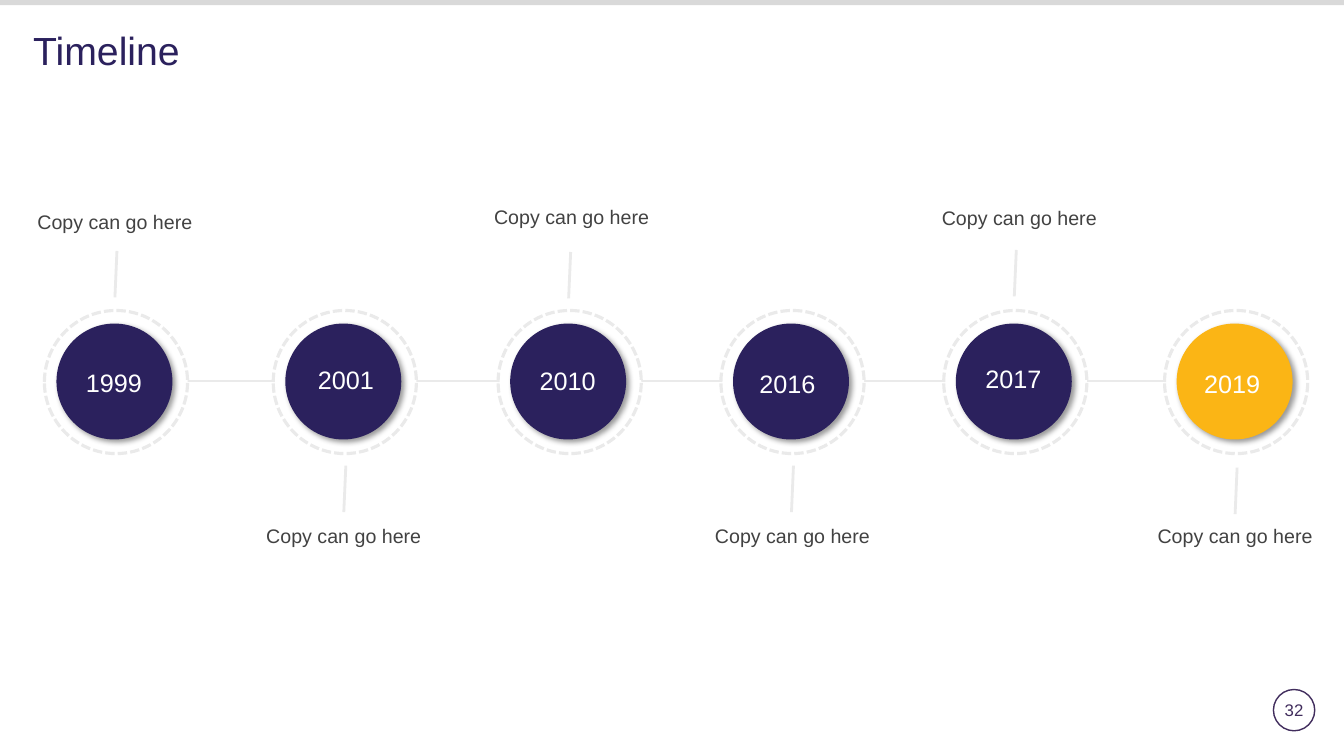
import dataclasses

import pptx
import pptx.dml.color
import pptx.enum.dml
import pptx.enum.shapes
import pptx.enum.text
import pptx.oxml
import pptx.oxml.ns
import pptx.util

Inches = pptx.util.Inches
OVAL = pptx.enum.shapes.MSO_SHAPE.OVAL
CENTER = pptx.enum.text.PP_ALIGN.CENTER
MIDDLE = pptx.enum.text.MSO_ANCHOR.MIDDLE

NAVY, AMBER, PURPLE = "2B215D", "FBB515", "412D5D"
WHITE, PALE, GREY, TEXT = "FFFFFF", "EAEAEA", "D9D9D9", "424242"
AXIS_Y = 3.78
RING_TOP, RING_SIZE = 3.08, 1.42
DISC_TOP, DISC_SIZE = 3.21, 1.15
STEM_HEIGHT, STEM_LEAN = 0.46, 0.01


@dataclasses.dataclass
class Milestone:
    """Positions are horizontal centres and tops, in inches."""
    year: str
    center: float
    year_center: float
    year_top: float
    caption_center: float
    caption_top: float
    stem_top: float
    color: str = NAVY


MILESTONES = [
    Milestone("1999", 1.15, 1.13, 3.59, 1.14, 2.03, 2.49),
    Milestone("2001", 3.42, 3.43, 3.57, 3.41, 5.15, 4.62),
    Milestone("2010", 5.65, 5.63, 3.58, 5.67, 1.98, 2.5),
    Milestone("2016", 7.86, 7.81, 3.6, 7.86, 5.15, 4.62),
    Milestone("2017", 10.07, 10.05, 3.56, 10.11, 1.99, 2.48),
    Milestone("2019", 12.26, 12.22, 3.6, 12.25, 5.15, 4.64, AMBER),
]


def rgb(color):
    return pptx.dml.color.RGBColor.from_string(color)


def add_figure(slide, kind, left, top, width, height, fill=None, line=None, weight=1):
    figure = slide.shapes.add_shape(
        kind, Inches(left), Inches(top), Inches(width), Inches(height))
    figure.shadow.inherit = False
    if fill:
        figure.fill.solid()
        figure.fill.fore_color.rgb = rgb(fill)
    else:
        figure.fill.background()
    if line:
        figure.line.color.rgb = rgb(line)
        figure.line.width = pptx.util.Pt(weight)
    else:
        figure.line.fill.background()
    return figure


def add_line(slide, x1, y1, x2, y2):
    line = slide.shapes.add_connector(
        pptx.enum.shapes.MSO_CONNECTOR.STRAIGHT,
        Inches(x1), Inches(y1), Inches(x2), Inches(y2))
    line.line.color.rgb = rgb(PALE)
    line.line.width = pptx.util.Pt(2)
    line._element.spPr.append(pptx.oxml.parse_xml(
        f"<a:effectLst {pptx.oxml.ns.nsdecls('a')}/>"))


def write(frame, words, size, color, align=CENTER):
    frame.word_wrap = True
    paragraph = frame.paragraphs[0]
    paragraph.text = words
    paragraph.alignment = align
    paragraph.font.name = "Arial"
    paragraph.font.size = pptx.util.Pt(size)
    paragraph.font.color.rgb = rgb(color)
    return paragraph


def add_label(slide, center, top, width, height, words, size, color):
    label = slide.shapes.add_textbox(
        Inches(center - width / 2), Inches(top), Inches(width), Inches(height))
    write(label.text_frame, words, size, color)


def cast_shadow(disc):
    """Give the disc a soft shadow towards the lower right."""
    effects = disc._element.spPr.find(pptx.oxml.ns.qn("a:effectLst"))
    effects.append(pptx.oxml.parse_xml(
        f'<a:outerShdw {pptx.oxml.ns.nsdecls("a")} blurRad="50800" dist="38100" '
        'dir="2700000" algn="tl" rotWithShape="0"><a:srgbClr val="000000">'
        '<a:alpha val="40000"/></a:srgbClr></a:outerShdw>'))


def add_milestone(slide, stone):
    ring_left = stone.center - RING_SIZE / 2
    ring = add_figure(slide, OVAL, ring_left, RING_TOP, RING_SIZE, RING_SIZE,
                      WHITE, PALE, 2.25)
    ring.line.dash_style = pptx.enum.dml.MSO_LINE.SQUARE_DOT
    # SQUARE_DOT is sysDot; the rings use the longer system dash
    ring.line._ln.find(pptx.oxml.ns.qn("a:prstDash")).set("val", "sysDash")

    disc = add_figure(slide, OVAL, ring_left + 0.12, DISC_TOP,
                      DISC_SIZE, DISC_SIZE, stone.color)
    cast_shadow(disc)
    add_label(slide, stone.year_center, stone.year_top, DISC_SIZE, 0.4,
              stone.year, 18, WHITE)
    add_line(slide, stone.center + STEM_LEAN, stone.stem_top,
             stone.center - STEM_LEAN, stone.stem_top + STEM_HEIGHT)
    add_label(slide, stone.caption_center, stone.caption_top, 2.02, 0.34,
              "Copy can go here", 14, TEXT)


def add_timeline(slide):
    add_line(slide, 11.66, AXIS_Y, 0.71, AXIS_Y)
    for stone in MILESTONES:
        add_milestone(slide, stone)


def add_title(slide):
    title = slide.shapes.add_textbox(
        Inches(0.33), Inches(0.26), Inches(12.67), Inches(0.57))
    title.text_frame.margin_left = title.text_frame.margin_right = 0
    paragraph = write(title.text_frame, "Timeline", 28, NAVY,
                      pptx.enum.text.PP_ALIGN.LEFT)
    paragraph.line_spacing = 0.9


def add_page_furniture(slide):
    """Add the top band and the circled page number."""
    add_figure(slide, pptx.enum.shapes.MSO_SHAPE.RECTANGLE,
               0, -0.03, 13.33, 0.08, GREY)
    badge = add_figure(slide, OVAL, 12.63, 6.84, 0.41, 0.41, line=PURPLE)
    frame = badge.text_frame
    frame.margin_left = frame.margin_right = 0
    frame.margin_top = frame.margin_bottom = 0
    frame.vertical_anchor = MIDDLE
    write(frame, "32", 12, PURPLE)


def main():
    deck = pptx.Presentation()
    deck.slide_width, deck.slide_height = Inches(13.33), Inches(7.5)
    slide = deck.slides.add_slide(deck.slide_layouts[6])
    add_page_furniture(slide)
    add_timeline(slide)
    add_title(slide)
    deck.save("out.pptx")


if __name__ == "__main__":
    main()
